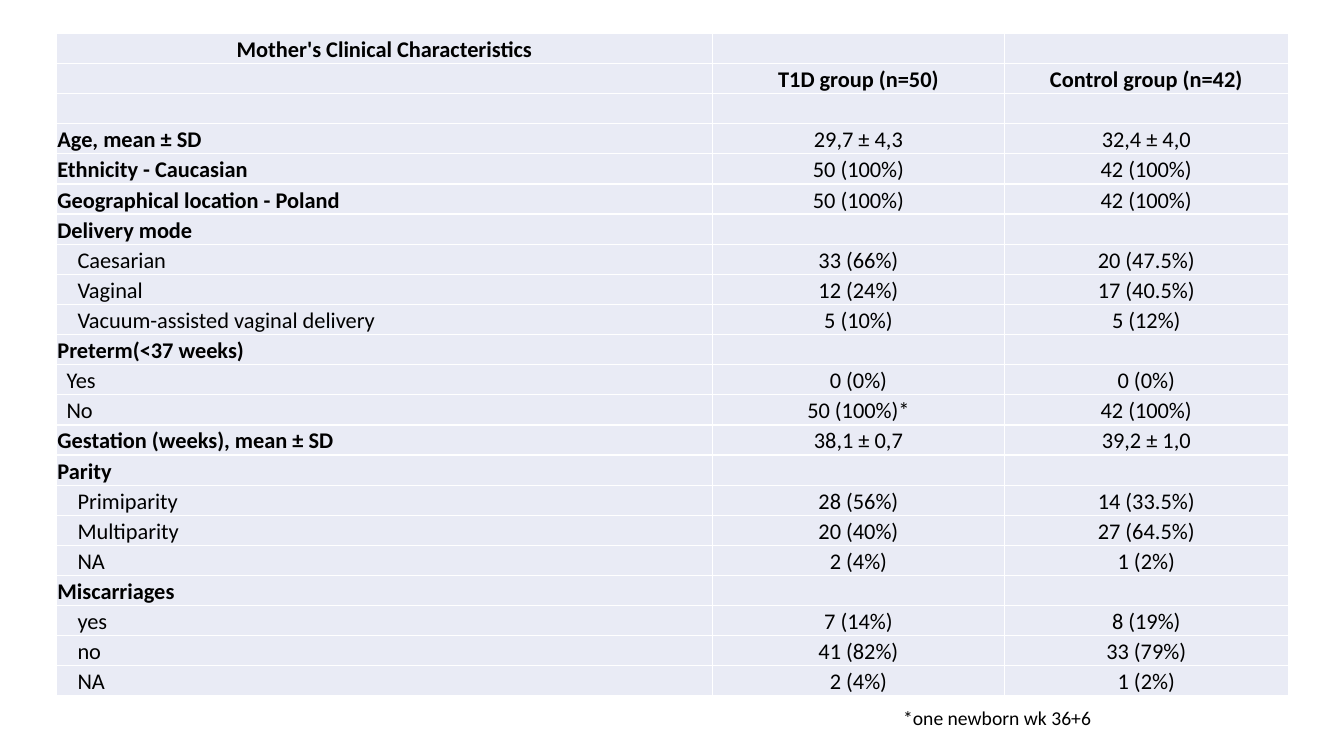
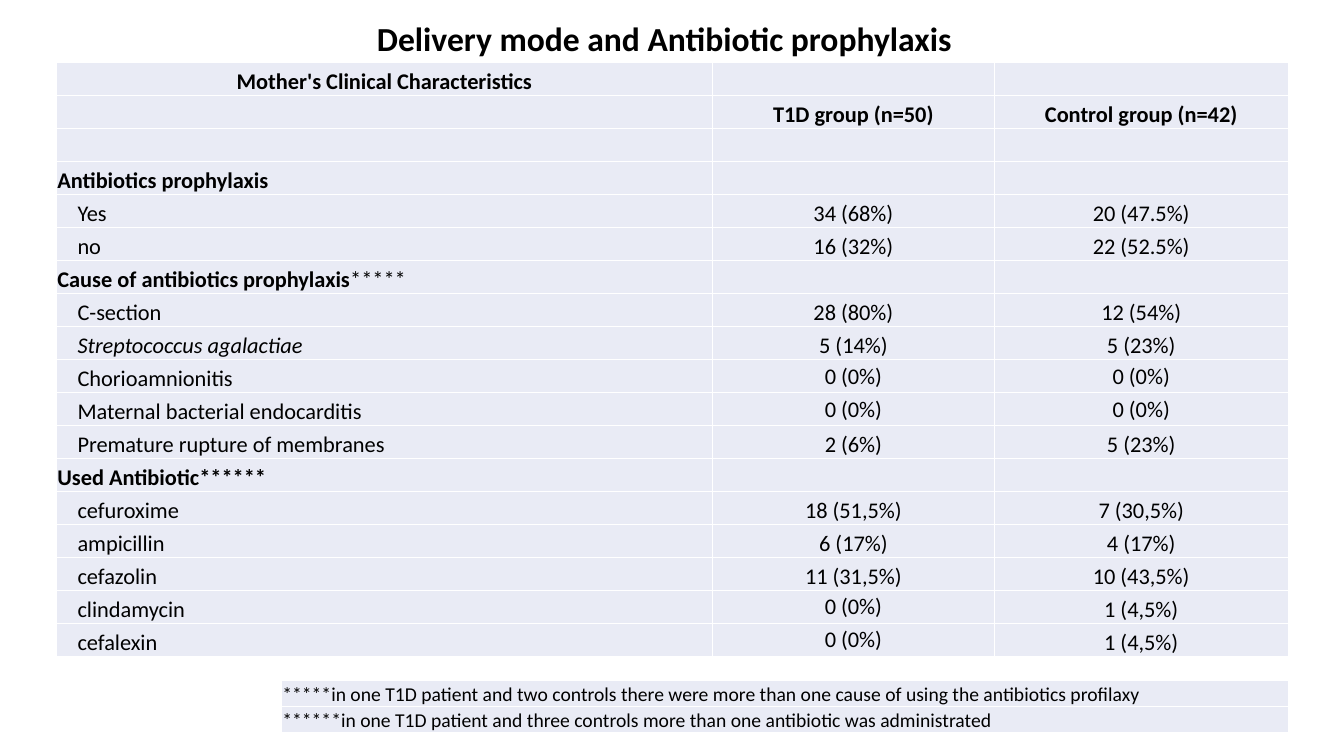
from dataclasses import dataclass

from lxml import etree
from pptx import Presentation
from pptx.dml.color import RGBColor
from pptx.enum.text import MSO_ANCHOR, MSO_AUTO_SIZE, PP_ALIGN
from pptx.oxml.ns import qn
from pptx.slide import Slide
from pptx.table import _Cell
from pptx.text.text import TextFrame
from pptx.util import Pt

LEFT, CENTER = PP_ALIGN.LEFT, PP_ALIGN.CENTER
TOP, MIDDLE, BOTTOM = MSO_ANCHOR.TOP, MSO_ANCHOR.MIDDLE, MSO_ANCHOR.BOTTOM
NO_AUTOFIT = MSO_AUTO_SIZE.NONE

COLORS = {"text": "000000", "cell": "E9EBF5", "border": "FFFFFF"}
FONT = "Calibri"
TITLE_SIZE, TABLE_SIZE, NOTE_SIZE = 24, 16, 14
TITLE_ONLY, BLANK = 5, 6
TABLE_LEFT, TABLE_RIGHT = 40.3, 920.2
LABEL_WIDTH = 468.7
CELL_MARGIN = 0.72
INDENTS = (CELL_MARGIN, 7.2, 15.1)
BORDER_WIDTH = 1
BORDER_TAGS = ("a:lnL", "a:lnR", "a:lnT", "a:lnB")
ZERO = "0 (0%)"


@dataclass(frozen=True)
class Span:
    text: str
    bold: bool = False
    italic: bool = False


@dataclass(frozen=True)
class Row:
    label: str
    t1d: str = ""
    control: str = ""
    level: int = 0
    italic: bool = False
    mark: str = ""


@dataclass(frozen=True)
class Box:
    left: float
    top: float
    width: float
    height: float


HEADING = "Mother's Clinical Characteristics"
GROUPS = ("T1D group (n=50)", "Control group (n=42)")

MOTHER_ROWS = [
    Row("Age, mean ± SD", "29,7 ± 4,3", "32,4 ± 4,0"),
    Row("Ethnicity - Caucasian", "50 (100%)", "42 (100%)"),
    Row("Geographical location - Poland", "50 (100%)", "42 (100%)"),
    Row("Delivery mode"),
    Row("Caesarian", "33 (66%)", "20 (47.5%)", 2),
    Row("Vaginal", "12 (24%)", "17 (40.5%)", 2),
    Row("Vacuum-assisted vaginal delivery", "5 (10%)", "5 (12%)", 2),
    Row("Preterm(<37 weeks)"),
    Row("Yes", ZERO, ZERO, 1),
    Row("No", "50 (100%)*", "42 (100%)", 1),
    Row("Gestation (weeks), mean ± SD", "38,1 ± 0,7", "39,2 ± 1,0"),
    Row("Parity"),
    Row("Primiparity", "28 (56%)", "14 (33.5%)", 2),
    Row("Multiparity", "20 (40%)", "27 (64.5%)", 2),
    Row("NA", "2 (4%)", "1 (2%)", 2),
    Row("Miscarriages"),
    Row("yes", "7 (14%)", "8 (19%)", 2),
    Row("no", "41 (82%)", "33 (79%)", 2),
    Row("NA", "2 (4%)", "1 (2%)", 2),
]

ANTIBIOTIC_ROWS = [
    Row("Antibiotics prophylaxis"),
    Row("Yes", "34 (68%)", "20 (47.5%)", 2),
    Row("no", "16 (32%)", "22 (52.5%)", 2),
    Row("Cause of antibiotics prophylaxis", mark="*****"),
    Row("C-section", "28 (80%)", "12 (54%)", 2),
    Row("Streptococcus agalactiae", "5 (14%)", "5 (23%)", 2, italic=True),
    Row("Chorioamnionitis", ZERO, ZERO, 2),
    Row("Maternal bacterial endocarditis", ZERO, ZERO, 2),
    Row("Premature rupture of membranes", "2 (6%)", "5 (23%)", 2),
    Row("Used Antibiotic******"),
    Row("cefuroxime", "18 (51,5%)", "7 (30,5%)", 2),
    Row("ampicillin", "6 (17%)", "4 (17%)", 2),
    Row("cefazolin", "11 (31,5%)", "10 (43,5%)", 2),
    Row("clindamycin", ZERO, "1 (4,5%)", 2),
    Row("cefalexin", ZERO, "1 (4,5%)", 2),
]

ANTIBIOTIC_NOTES = [
    "*****in one T1D patient and two controls there were more than one cause "
    "of using the antibiotics profilaxy",
    "******in one T1D patient and three controls more than one antibiotic "
    "was administrated",
]


def write(frame: TextFrame, spans: list[Span], size: float, align: PP_ALIGN = LEFT) -> None:
    line = frame.paragraphs[0]
    line.alignment = align
    for span in spans:
        run = line.add_run()
        run.text = span.text
        style = {"name": FONT, "size": Pt(size), "bold": span.bold, "italic": span.italic}
        for attribute, value in style.items():
            setattr(run.font, attribute, value)
        run.font.color.rgb = RGBColor.from_string(COLORS["text"])
    if not spans:
        etree.SubElement(line._p, qn("a:endParaRPr"), sz=str(size * 100))


def add_borders(cell: _Cell) -> None:
    properties = cell._tc.get_or_add_tcPr()
    for position, tag in enumerate(BORDER_TAGS):
        border = etree.Element(qn(tag), w=str(Pt(BORDER_WIDTH)))
        fill = etree.SubElement(border, qn("a:solidFill"))
        etree.SubElement(fill, qn("a:srgbClr"), val=COLORS["border"])
        properties.insert(position, border)


def fill_cell(cell: _Cell, spans: list[Span], size: float, align: PP_ALIGN = LEFT,
              indent: float = CELL_MARGIN, anchor: MSO_ANCHOR = BOTTOM) -> None:
    layout = {
        "margin_left": Pt(indent),
        "margin_right": Pt(CELL_MARGIN),
        "margin_top": Pt(CELL_MARGIN),
        "margin_bottom": Pt(0),
        "vertical_anchor": anchor,
    }
    for attribute, value in layout.items():
        setattr(cell, attribute, value)
    cell.fill.solid()
    cell.fill.fore_color.rgb = RGBColor.from_string(COLORS["cell"])
    add_borders(cell)
    write(cell.text_frame, spans, size, align)


def add_grid(slide: Slide, left: float, top: float, widths: list[float],
             row_height: float, row_count: int):
    grid = slide.shapes.add_table(
        row_count, len(widths), Pt(left), Pt(top),
        Pt(sum(widths)), Pt(row_height * row_count)).table
    grid.first_row = grid.horz_banding = False
    for column, width in zip(grid.columns, widths):
        column.width = Pt(width)
    for row in grid.rows:
        row.height = Pt(row_height)
    return grid


def label_spans(row: Row) -> list[Span]:
    spans = [Span(row.label, row.level == 0, row.italic)]
    return spans + [Span(row.mark)] if row.mark else spans


def add_characteristics(slide: Slide, rows: list[Row], top: float, row_height: float,
                        t1d_width: float, zero_anchor: MSO_ANCHOR = BOTTOM) -> None:
    control_width = TABLE_RIGHT - TABLE_LEFT - LABEL_WIDTH - t1d_width
    header = [(HEADING, "", ""), ("", *GROUPS), ("", "", "")]
    grid = add_grid(slide, TABLE_LEFT, top, [LABEL_WIDTH, t1d_width, control_width],
                    row_height, len(header) + len(rows))
    for index, texts in enumerate(header):
        for column, text in enumerate(texts):
            fill_cell(grid.cell(index, column), [Span(text, bold=True)] if text else [],
                      TABLE_SIZE, CENTER)
    for index, row in enumerate(rows, len(header)):
        fill_cell(grid.cell(index, 0), label_spans(row), TABLE_SIZE,
                  indent=INDENTS[row.level])
        for column, count in enumerate((row.t1d, row.control), 1):
            fill_cell(grid.cell(index, column), [Span(count)] if count else [],
                      TABLE_SIZE, CENTER,
                      anchor=zero_anchor if count == ZERO else BOTTOM)


def add_notes_table(slide: Slide, notes: list[str], left: float, top: float,
                    row_height: float) -> None:
    grid = add_grid(slide, left, top, [TABLE_RIGHT - left], row_height, len(notes))
    for index, note in enumerate(notes):
        fill_cell(grid.cell(index, 0), [Span(note)], NOTE_SIZE)


def add_footnote(slide: Slide, text: str, box: Box) -> None:
    footnote = slide.shapes.add_textbox(
        Pt(box.left), Pt(box.top), Pt(box.width), Pt(box.height))
    footnote.text_frame.word_wrap = True
    write(footnote.text_frame, [Span(text)], NOTE_SIZE)


def set_title(slide: Slide, text: str, box: Box) -> None:
    title = slide.shapes.title
    for side in ("left", "top", "width", "height"):
        setattr(title, side, Pt(getattr(box, side)))
    frame = title.text_frame
    layout = {"word_wrap": True, "auto_size": NO_AUTOFIT, "vertical_anchor": TOP}
    for attribute, value in layout.items():
        setattr(frame, attribute, value)
    write(frame, [Span(text, bold=True)], TITLE_SIZE)


def main() -> None:
    deck = Presentation()
    deck.slide_width, deck.slide_height = Pt(960), Pt(540)

    mothers = deck.slides.add_slide(deck.slide_layouts[BLANK])
    add_characteristics(mothers, MOTHER_ROWS, 23.8, 21.53, 208.4)
    add_footnote(mothers, "*one newborn wk 36+6", Box(638, 500.4, 240, 24.2))

    antibiotics = deck.slides.add_slide(deck.slide_layouts[TITLE_ONLY])
    set_title(antibiotics, "Delivery mode and Antibiotic prophylaxis",
              Box(262, 9.4, 436.4, 36))
    add_characteristics(antibiotics, ANTIBIOTIC_ROWS, 44.8, 23.58, 201.2, MIDDLE)
    add_notes_table(antibiotics, ANTIBIOTIC_NOTES, 201, 486.2, 18.6)

    deck.save("out.pptx")


if __name__ == "__main__":
    main()
